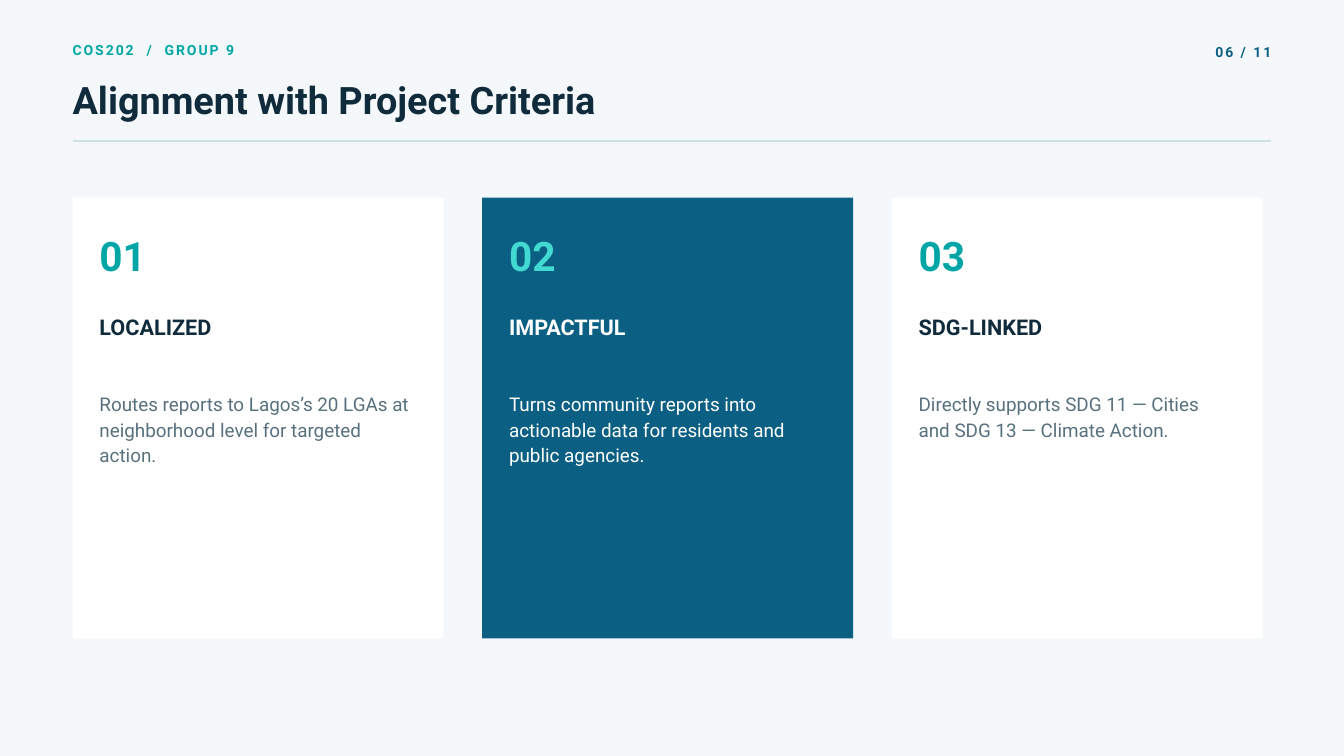
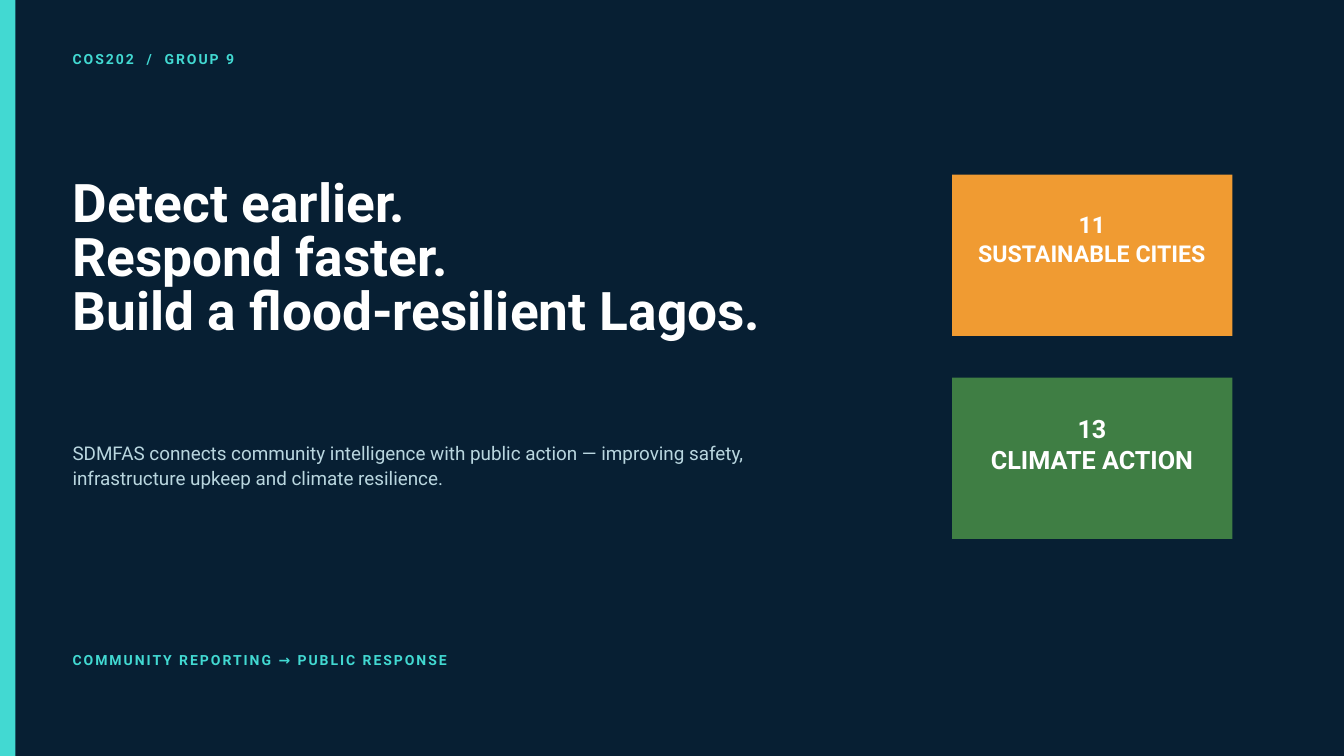
from dataclasses import dataclass

from pptx import Presentation
from pptx import util as u
from pptx.dml.color import RGBColor
from pptx.enum import shapes, text
from pptx.oxml.ns import qn
from lxml import etree

FONT = "Roboto"
WHITE, PALE, NIGHT = "FFFFFF", "F4F8FA", "071F33"
INK, GREY, RULE, MIST = "102C3C", "58717E", "CFE0E5", "B9D6DF"
TEAL, AQUA, BLUE = "00A6A6", "42D9D2", "0B5F82"
ORANGE, GREEN = "F09B32", "3F7E44"
LEFT, RIGHT = 1.08, 18.92
COURSE = "COS202  /  GROUP 9"


@dataclass
class Style:
    """Size, line spacing, weight and tracking of a text, in points."""
    size: float
    leading: float
    bold: bool = True
    tracking: float = 0


LABEL = Style(15, 21, tracking=2.1)
TITLE = Style(40.5, 43.7)
NUMBER = Style(43.5, 60.9)
HEADING = Style(23.2, 26)
BODY = Style(20.2, 27.1, bold=False)
CLOSING = Style(57, 58.1)


def color(value):
    """Turn a hex string into a colour."""
    return RGBColor.from_string(value)


def add_slide(presentation, background):
    """Add a blank slide with a plain background."""
    slide = presentation.slides.add_slide(presentation.slide_layouts[6])
    slide.background.fill.solid()
    slide.background.fill.fore_color.rgb = color(background)
    return slide


def add_text(slide, box, lines, style, hue, align=text.PP_ALIGN.LEFT):
    """Add a text box with one paragraph for each line."""
    frame = slide.shapes.add_textbox(*map(u.Inches, box)).text_frame
    frame.word_wrap = True
    frame.auto_size = text.MSO_AUTO_SIZE.SHAPE_TO_FIT_TEXT
    frame.margin_left = frame.margin_right = 0
    frame.margin_top = frame.margin_bottom = 0
    for index, line in enumerate(lines):
        paragraph = frame.add_paragraph() if index else frame.paragraphs[0]
        paragraph.alignment = align
        paragraph.line_spacing = u.Pt(style.leading)
        run = paragraph.add_run()
        run.text = line
        run.font.name = FONT
        run.font.size = u.Pt(style.size)
        run.font.bold = style.bold
        run.font.color.rgb = color(hue)
        if style.tracking:
            run.font._element.set("spc", str(round(style.tracking * 100)))


def add_block(slide, box, fill):
    """Add a plain filled rectangle."""
    shape = slide.shapes.add_shape(
        shapes.MSO_SHAPE.RECTANGLE, *map(u.Inches, box))
    shape.shadow.inherit = False
    shape.fill.solid()
    shape.fill.fore_color.rgb = color(fill)
    shape.line.fill.background()


def add_rule(slide, top):
    """Add a thin line from margin to margin."""
    line = slide.shapes.add_connector(
        shapes.MSO_CONNECTOR.STRAIGHT, u.Inches(LEFT), u.Inches(top),
        u.Inches(RIGHT), u.Inches(top))
    line.line.color.rgb = color(RULE)
    line.line.width = u.Pt(2)
    etree.SubElement(line._element.spPr, qn("a:effectLst"))


def add_header(slide, title, page):
    """Add the course label, title, page number and rule."""
    add_text(slide, (LEFT, 0.57, 4.27, 0.28), [COURSE], LABEL, TEAL)
    add_text(slide, (LEFT, 1.21, 15.1, 0.63), [title], TITLE, INK)
    add_text(slide, (RIGHT - 1.09, 0.61, 1.09, 0.28), [page], LABEL, BLUE,
             text.PP_ALIGN.RIGHT)
    add_rule(slide, 2.1)


def add_card(slide, left, number, heading, body, highlighted):
    """Add a criterion card, in reversed colours if highlighted."""
    fill, accent, strong, soft = (
        (BLUE, AQUA, WHITE, WHITE) if highlighted else (WHITE, TEAL, INK, GREY))
    inner = left + 0.4
    add_block(slide, (left, 2.94, 5.52, 6.56), fill)
    add_text(slide, (inner, 3.32, 1.25, 0.79), [number], NUMBER, accent)
    add_text(slide, (inner, 4.7, 4.69, 0.36), [heading], HEADING, strong)
    add_text(slide, (inner, 5.81, 4.69, 1.11), [body], BODY, soft)


def add_goal(slide, top, fill, lines, style):
    """Add a coloured tile naming a development goal."""
    add_block(slide, (14.17, top, 4.17, 2.4), fill)
    add_text(slide, (14.53, top + 0.51, 3.44, 0.9), lines, style, WHITE,
             text.PP_ALIGN.CENTER)


def build_criteria(presentation):
    """Build the slide with the three project criteria."""
    slide = add_slide(presentation, PALE)
    add_header(slide, "Alignment with Project Criteria", "06 / 11")
    criteria = [
        ("LOCALIZED", "Routes reports to Lagos’s 20 LGAs at neighborhood "
                      "level for targeted action."),
        ("IMPACTFUL", "Turns community reports into actionable data for "
                      "residents and public agencies."),
        ("SDG-LINKED", "Directly supports SDG 11 — Cities and SDG 13 — "
                       "Climate Action."),
    ]
    for index, (heading, body) in enumerate(criteria):
        add_card(slide, LEFT + index * 6.095, f"{index + 1:02}", heading, body,
                 highlighted=index == 1)


def build_closing(presentation):
    """Build the closing slide with the message and goals."""
    slide = add_slide(presentation, NIGHT)
    add_block(slide, (0, 0, 0.23, 11.25), AQUA)
    add_text(slide, (LEFT, 0.71, 5.21, 0.29), [COURSE], LABEL, AQUA)
    add_text(slide, (LEFT, 2.66, 12.19, 2.44),
             ["Detect earlier.", "Respond faster.",
              "Build a flood-resilient Lagos."], CLOSING, WHITE)
    add_text(slide, (LEFT, 6.53, 11.67, 0.74),
             ["SDMFAS connects community intelligence with public action — "
              "improving safety, infrastructure upkeep and climate "
              "resilience."], BODY, MIST)
    add_goal(slide, 2.6, ORANGE, ["11", "SUSTAINABLE CITIES"],
             Style(24.8, 30.9))
    add_goal(slide, 5.62, GREEN, ["13", "CLIMATE ACTION"], Style(27, 33.8))
    add_text(slide, (LEFT, 9.65, 9.38, 0.29),
             ["COMMUNITY REPORTING → PUBLIC RESPONSE"], LABEL, AQUA)


def main():
    """Build and save the presentation."""
    presentation = Presentation()
    presentation.slide_width = u.Inches(20)
    presentation.slide_height = u.Inches(11.25)
    build_criteria(presentation)
    build_closing(presentation)
    presentation.save("out.pptx")


if __name__ == "__main__":
    main()
